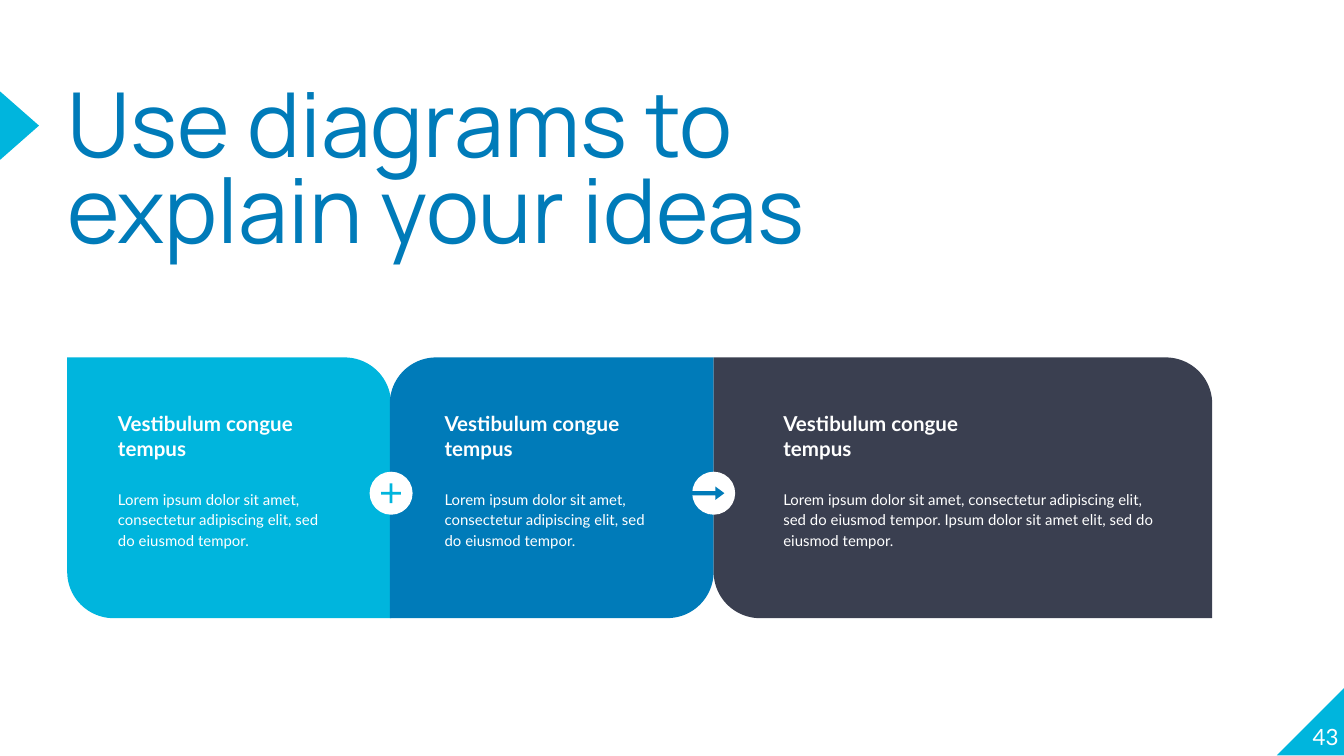
from dataclasses import dataclass

from pptx import Presentation
from pptx.dml.color import RGBColor
from pptx.enum.shapes import MSO_SHAPE
from pptx.enum.text import MSO_ANCHOR, PP_ALIGN
from pptx.shapes.autoshape import Shape
from pptx.slide import Slide
from pptx.text.text import _Paragraph
from pptx.util import Inches, Pt

RIGHT_TRIANGLE = MSO_SHAPE.RIGHT_TRIANGLE
TRIANGLE = MSO_SHAPE.ISOSCELES_TRIANGLE
PANEL = MSO_SHAPE.ROUND_2_DIAG_RECTANGLE
CIRCLE = MSO_SHAPE.OVAL
ARROW = MSO_SHAPE.RIGHT_ARROW
PLUS = MSO_SHAPE.MATH_PLUS
TOP, BOTTOM = MSO_ANCHOR.TOP, MSO_ANCHOR.BOTTOM
LEFT, RIGHT = PP_ALIGN.LEFT, PP_ALIGN.RIGHT

CYAN, BLUE, DARK, WHITE = "00B5DD", "007BB9", "3A3F50", "FFFFFF"
HEADING_FONT, BODY_FONT = "Manrope", "Lato"

SLIDE_WIDTH = 10
SLIDE_HEIGHT = SLIDE_WIDTH * 9 / 16
PANEL_TOP, PANEL_HEIGHT = 2.66, 1.94
CORNER = 0.178
BADGE_SIZE = 0.32
BADGE_MIDDLE = 3.67


@dataclass
class Step:
    left: float
    width: float
    corners: tuple[float, float]
    color: str
    text_left: float
    text_width: float
    heading: str
    body: str


@dataclass
class Badge:
    center: float
    symbol: MSO_SHAPE
    symbol_box: tuple[float, float, float]  # offset from centre, width, height
    adjustments: tuple[float, ...]
    color: str


LOREM = ("Lorem ipsum dolor sit amet, consectetur adipiscing elit, "
         "sed do eiusmod tempor.")

STEPS = [
    Step(0.5, 2.41, (0, CORNER), CYAN, 0.78, 1.8,
         "Vestibulum congue tempus", LOREM),
    Step(2.9, 2.41, (CORNER, 0), BLUE, 3.21, 1.8,
         "Vestibulum congue tempus", LOREM),
    Step(5.31, 3.71, (0, CORNER), DARK, 5.73, 2.99,
         "Vestibulum congue\ntempus",
         LOREM + " Ipsum dolor sit amet elit, sed do eiusmod tempor."),
]

BADGES = [
    Badge(2.91, PLUS, (-0.1, 0.2, 0.2), (0.1,), CYAN),
    Badge(5.31, ARROW, (-0.16, 0.24, 0.1), (0.32, 0.67), BLUE),
]


def rgb(color: str) -> RGBColor:
    return RGBColor.from_string(color)


def add_filled(slide: Slide, kind: MSO_SHAPE, left: float, top: float,
               width: float, height: float, color: str,
               adjustments: tuple[float, ...] = (),
               rotation: float = 0) -> Shape:
    shape = slide.shapes.add_shape(
        kind, Inches(left), Inches(top), Inches(width), Inches(height))
    shape.shadow.inherit = False
    shape.fill.solid()
    shape.fill.fore_color.rgb = rgb(color)
    shape.line.fill.background()
    shape.rotation = rotation
    for index, value in enumerate(adjustments):
        shape.adjustments[index] = value
    return shape


def add_text(slide: Slide, text: str, left: float, top: float, width: float,
             height: float, size: float, color: str = WHITE,
             font: str = BODY_FONT, bold: bool = False, inset: float = 0,
             align: PP_ALIGN = LEFT, anchor: MSO_ANCHOR = TOP) -> _Paragraph:
    frame = slide.shapes.add_textbox(
        Inches(left), Inches(top), Inches(width), Inches(height)).text_frame
    frame.word_wrap = True
    frame.vertical_anchor = anchor
    frame.margin_left = frame.margin_right = Inches(inset)
    frame.margin_top = frame.margin_bottom = Inches(inset)
    paragraph = frame.paragraphs[0]
    paragraph.text = text
    paragraph.alignment = align
    paragraph.font.name = font
    paragraph.font.size = Pt(size)
    paragraph.font.bold = bold
    paragraph.font.color.rgb = rgb(color)
    return paragraph


def draw_step(slide: Slide, step: Step) -> None:
    add_filled(slide, PANEL, step.left, PANEL_TOP, step.width, PANEL_HEIGHT,
               step.color, step.corners)
    add_text(slide, step.heading, step.text_left, 2.96, step.text_width, 0.57,
             11, bold=True, inset=0.1)
    body = add_text(slide, step.body, step.text_left, 3.53, step.text_width,
                    0.63, 8, inset=0.1)
    body.line_spacing = 1.15
    body.space_after = Pt(16)


def draw_badge(slide: Slide, badge: Badge) -> None:
    add_filled(slide, CIRCLE, badge.center - BADGE_SIZE / 2,
               BADGE_MIDDLE - BADGE_SIZE / 2, BADGE_SIZE, BADGE_SIZE, WHITE)
    offset, width, height = badge.symbol_box
    add_filled(slide, badge.symbol, badge.center + offset,
               BADGE_MIDDLE - height / 2, width, height, badge.color,
               badge.adjustments)


def main() -> None:
    prs = Presentation()
    prs.slide_width = Inches(SLIDE_WIDTH)
    prs.slide_height = Inches(SLIDE_HEIGHT)
    slide = prs.slides.add_slide(prs.slide_layouts[6])

    # Corner and title marker
    add_filled(slide, RIGHT_TRIANGLE, 9.5, 5.11, 0.51, 0.51, CYAN,
               rotation=270)
    add_filled(slide, TRIANGLE, -0.11, 0.79, 0.51, 0.29, CYAN, rotation=90)

    # Title and page number
    title = add_text(slide, "Use diagrams to explain your ideas",
                     0.5, 0.66, 6.17, 1.18, 48, BLUE, HEADING_FONT)
    title.line_spacing = 0.8
    add_text(slide, "43", 9.46, 5.07, 0.5, 0.51, 12, align=RIGHT,
             anchor=BOTTOM)

    # Diagram panels, then the badges on their seams
    for step in STEPS:
        draw_step(slide, step)
    for badge in BADGES:
        draw_badge(slide, badge)

    prs.save("out.pptx")


if __name__ == "__main__":
    main()
